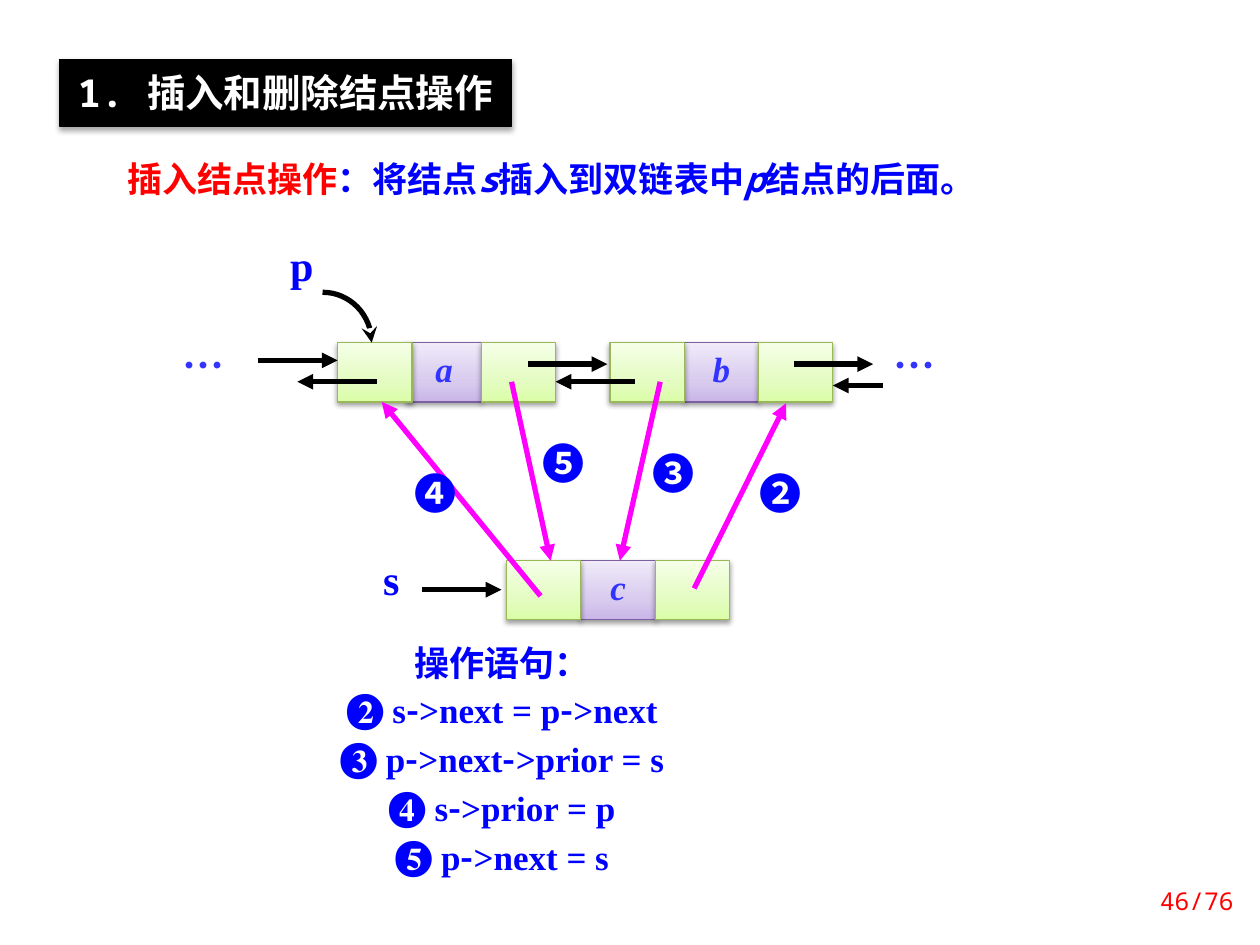
from copy import deepcopy

from pptx import Presentation
from pptx import util as u
from pptx.dml.color import RGBColor
from pptx.enum import shapes, text
from pptx.oxml import parse_xml
from pptx.oxml.ns import nsdecls, qn

PX = 9144  # 100 px to the inch
BLACK = RGBColor(0x00, 0x00, 0x00)
WHITE = RGBColor(0xFF, 0xFF, 0xFF)
RED = RGBColor(0xFF, 0x00, 0x00)
BLUE = RGBColor(0x00, 0x00, 0xFF)
INDIGO = RGBColor(0x33, 0x33, 0xFF)
MAGENTA = RGBColor(0xFF, 0x00, 0xFF)
GREEN_LINE = RGBColor(0x98, 0xB9, 0x55)
GREEN_STOPS = ((0, RGBColor(0xDA, 0xFD, 0xA7)), (0.35, RGBColor(0xE4, 0xFC, 0xC2)),
               (1, RGBColor(0xF5, 0xFF, 0xE7)))
PURPLE_LINE = RGBColor(0x7D, 0x60, 0xA0)
PURPLE_STOPS = ((0, RGBColor(0xC9, 0xB5, 0xE8)), (0.35, RGBColor(0xD8, 0xCB, 0xEE)),
                (1, RGBColor(0xF0, 0xEA, 0xF9)))
CJK, MONO, SERIF = "Noto Sans CJK SC", "Noto Sans Mono", "Times New Roman"
CELL = 59


def px(*values):
    return [u.Emu(v * PX) for v in values]


def add_run(p, words, size, font, color, bold=True, italic=False):
    r = p.add_run()
    r.text = words
    f = r.font
    f.size, f.name, f.bold, f.italic = u.Pt(size), font, bold, italic
    f.color.rgb = color
    for tag in ("a:ea", "a:sym"):
        r._r.get_or_add_rPr().append(
            parse_xml(f'<{tag} {nsdecls("a")} typeface="{font}"/>'))


def add_text(s, box, align=text.PP_ALIGN.CENTER, spacing=0.8):
    tf = s.shapes.add_textbox(*px(*box)).text_frame
    tf.word_wrap = True
    p = tf.paragraphs[0]
    p.alignment, p.line_spacing = align, spacing
    return tf, p


def add_label(s, x, y, words, font=CJK, color=BLUE, w=47):
    tf, p = add_text(s, (x, y, w, 50))
    add_run(p, words, 24, font, color)


def drop_shadow(sp, alpha, dist):
    sp.shadow.inherit = False
    sp._element.spPr.find(qn("a:effectLst")).append(parse_xml(
        f'<a:outerShdw {nsdecls("a")} blurRad="{u.Pt(3.1)}" dist="{u.Pt(dist)}" '
        f'dir="5400000" rotWithShape="0"><a:srgbClr val="000000">'
        f'<a:alpha val="{alpha * 1000}"/></a:srgbClr></a:outerShdw>'))


def add_head(sp, kind):
    sp.line._get_or_add_ln().append(
        parse_xml(f'<a:tailEnd {nsdecls("a")} type="{kind}"/>'))


def add_arrow(s, x1, y1, x2, y2, color=BLACK):
    c = s.shapes.add_connector(shapes.MSO_CONNECTOR.STRAIGHT, *px(x1, y1, x2, y2))
    c.line.color.rgb, c.line.width = color, u.Pt(3)
    add_head(c, "triangle")
    c._element.spPr.append(parse_xml(f'<a:effectLst {nsdecls("a")}/>'))


def add_cell(s, x, y, stops, line):
    sp = s.shapes.add_shape(shapes.MSO_SHAPE.RECTANGLE, *px(x, y, CELL, 47))
    sp.fill.gradient()
    sp.fill.gradient_angle = 90
    gs_list = sp._element.spPr.find(".//" + qn("a:gsLst"))
    gs_list.append(deepcopy(gs_list[0]))
    for stop, (position, color) in zip(sp.fill.gradient_stops, stops):
        stop.position, stop.color.rgb = position, color
    sp.line.color.rgb, sp.line.width = line, u.Pt(0.75)
    drop_shadow(sp, 38, 1.6)
    return sp


def add_node(s, x, y, w, name):
    """Data cell between the two pointer cells of a list node."""
    right = x + w - CELL
    tf = add_cell(s, right - CELL, y, PURPLE_STOPS, PURPLE_LINE).text_frame
    tf.word_wrap, tf.vertical_anchor = False, text.MSO_ANCHOR.MIDDLE
    p = tf.paragraphs[0]
    p.alignment, p.line_spacing = text.PP_ALIGN.CENTER, 0.8
    add_run(p, name, 20, SERIF, INDIGO, italic=True)
    for left in (right, x):
        add_cell(s, left, y, GREEN_STOPS, GREEN_LINE)


def add_pointer_curve(s, x, y, w, h):
    """Quarter curve from the top left to the bottom right of its box."""
    def point(t):
        a, b, c = 3 * t * (1 - t) ** 2, 3 * t * t * (1 - t), t ** 3
        return (round((x + w * (0.56 * a + b + c)) * PX),
                round((y + h * (0.45 * b + c)) * PX))

    points = [point(i / 16) for i in range(17)]
    builder = s.shapes.build_freeform(*points[0])
    builder.add_line_segments(points[1:], close=False)
    sp = builder.convert_to_shape()
    sp.fill.background()
    sp.line.color.rgb, sp.line.width = BLACK, u.Pt(3)
    sp.shadow.inherit = False
    add_head(sp, "stealth")


def add_title(s, box):
    sp = s.shapes.title
    sp.left, sp.top, sp.width, sp.height = px(*box)
    sp.fill.solid()
    sp.fill.fore_color.rgb = BLACK
    sp.line.color.rgb, sp.line.width = BLACK, u.Pt(0.75)
    drop_shadow(sp, 35, 1.8)
    tf = sp.text_frame
    tf.auto_size, tf.word_wrap = text.MSO_AUTO_SIZE.NONE, False
    tf.vertical_anchor = text.MSO_ANCHOR.MIDDLE
    tf.margin_top, tf.margin_bottom = px(8, 8)
    p = tf.paragraphs[0]
    p.alignment = text.PP_ALIGN.CENTER
    add_run(p, "1. 插入和删除结点操作", 22, MONO, WHITE)


def add_intro(s, box):
    tf, p = add_text(s, box, text.PP_ALIGN.LEFT, 1.0)
    add_run(p, "插入结点操作", 20, MONO, RED)
    for i, words in enumerate(("：将结点", "s", "插入到双链表中", "p", "结点的后面。")):
        add_run(p, words, 20, MONO, BLUE, italic=i % 2 == 1)


def add_list_diagram(s, x, y):
    # Nodes
    add_node(s, x + 138, y + 79, 173, "a")
    add_node(s, x + 354, y + 79, 177, "b")
    add_node(s, x + 272, y + 252, 177, "c")
    # Existing links
    for x1, y1, x2 in ((75, 93, 138), (289, 96, 352), (500, 96, 563), (169, 110, 106),
                       (374, 110, 311), (571, 113, 531), (205, 275, 268)):
        add_arrow(s, x + x1, y + y1, x + x2, y + y1)
    # Pointers and continuation marks
    add_pointer_curve(s, x + 126, y + 39, 39, 40)
    add_label(s, x + 86, y, "p", SERIF)
    add_label(s, x + 157, y + 249, "s", SERIF)
    for left in (0, 564):
        add_label(s, x + left, y + 79, "…", color=INDIGO, w=63)
    # Numbered new links
    for ends, left, top, number in (((421, 274, 494, 127), 463, 181, "❷"),
                                    ((394, 110, 362, 252), 378, 165, "❸"),
                                    ((299, 280, 173, 126), 189, 181, "❹"),
                                    ((276, 110, 307, 252), 291, 157, "❺")):
        x1, y1, x2, y2 = ends
        add_arrow(s, x + x1, y + y1, x + x2, y + y2, MAGENTA)
        add_label(s, x + left, y + top, number)


def add_statements(s, box):
    tf, p = add_text(s, box, spacing=u.Pt(16))
    add_run(p, "操作语句：", 20, MONO, BLUE)
    for number, code in (("❷", " s->next = p->next"), ("❸", " p->next->prior = s"),
                         ("❹", " s->prior = p"), ("❺", " p->next = s")):
        p = tf.add_paragraph()
        p.alignment, p.line_spacing = text.PP_ALIGN.CENTER, u.Pt(16)
        p.space_before = u.Pt(12)
        add_run(p, number, 24, SERIF, BLUE)
        for i, part in enumerate(code.split("-")):
            if i:
                add_run(p, "-", 20, CJK, BLUE)
            add_run(p, part, 20, SERIF, BLUE)


def add_page_number(s, box):
    tf, p = add_text(s, box, text.PP_ALIGN.RIGHT, 1.0)
    tf.vertical_anchor = text.MSO_ANCHOR.MIDDLE
    add_run(p, "46/76", 14, MONO, RED, bold=False)


def main():
    prs = Presentation()
    prs.slide_width, prs.slide_height = px(1000, 750)
    s = prs.slides.add_slide(prs.slide_layouts[5])
    add_title(s, (47, 47, 359, 53))
    add_intro(s, (91, 120, 695, 44))
    add_list_diagram(s, 130, 193)
    add_statements(s, (203, 515, 391, 203))
    add_page_number(s, (898, 695, 91, 40))
    prs.save("out.pptx")


if __name__ == "__main__":
    main()
